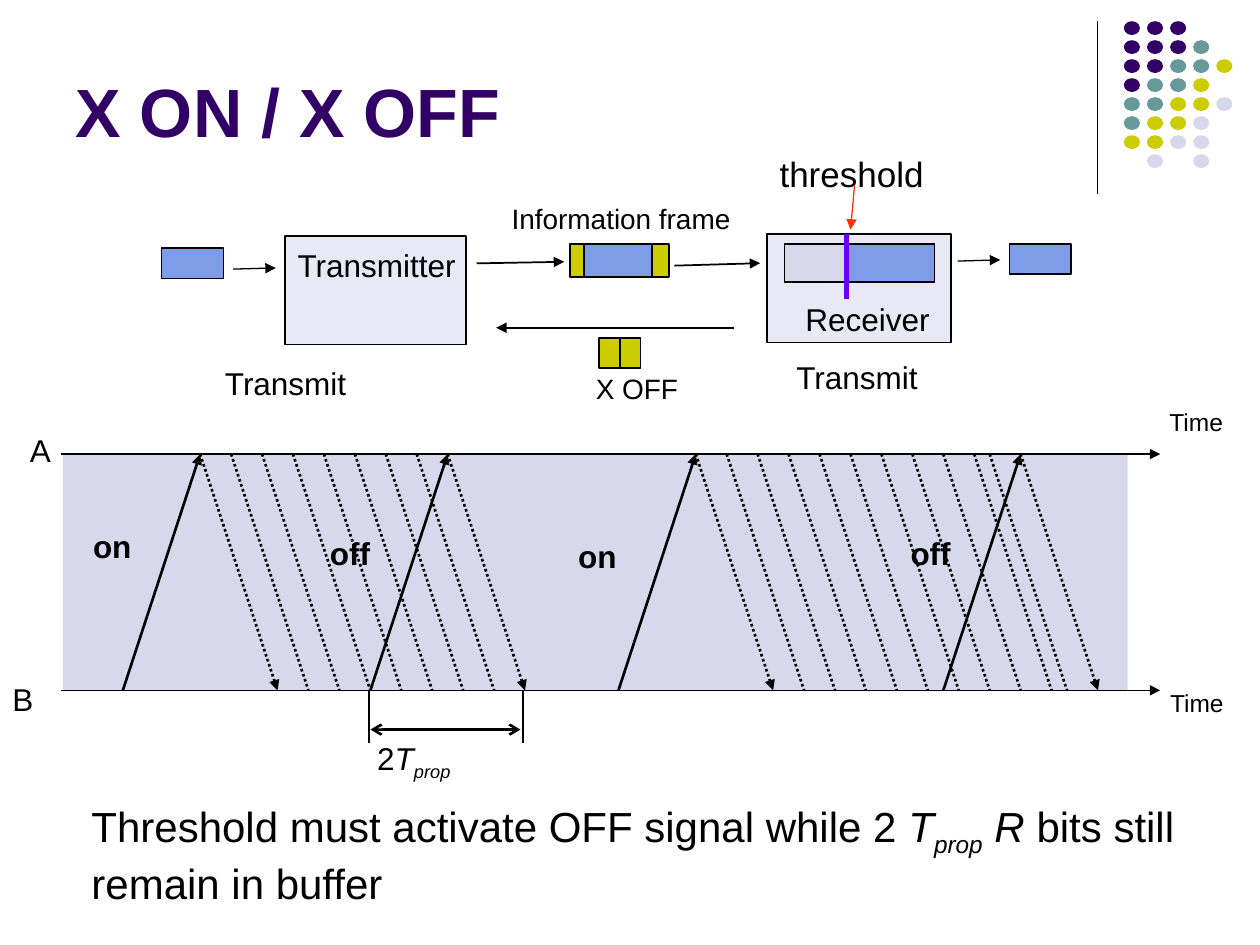
from dataclasses import dataclass

from lxml.etree import SubElement
from pptx import Presentation
from pptx.dml.color import RGBColor
from pptx.enum.dml import MSO_LINE
from pptx.enum.shapes import MSO_CONNECTOR, MSO_SHAPE
from pptx.enum.text import MSO_ANCHOR, MSO_AUTO_SIZE, PP_ALIGN
from pptx.oxml.ns import qn
from pptx.util import Pt


@dataclass(frozen=True)
class Theme:
    font: str = "Arial"
    black: str = "000000"
    purple: str = "330066"
    teal: str = "669999"
    olive: str = "CCCC00"
    lavender: str = "D8D8EC"
    station: str = "E9E9F5"
    data: str = "7E9CE8"
    alert: str = "FF3300"
    threshold: str = "6600FF"
    title_size: float = 39
    statement_size: float = 24
    callout_size: float = 20
    label_size: float = 18
    frame_size: float = 16
    axis_size: float = 14


THEME = Theme()
A_LINE, B_LINE = 259.5, 394.5
PROPAGATION = 44.2
FRAME_STEP = 17.68
DOT_ROWS = ("PPP", "PPPT", "PPTTO", "PTTO", "TTOOL", "TOOL", "OOLL", " L L")


def color(value):
    return RGBColor.from_string(value)


def format_run(run, size, bold=False, italic=False, rgb=THEME.black):
    run.font.name = THEME.font
    run.font.size = Pt(size)
    run.font.bold = bold
    run.font.italic = italic
    run.font.color.rgb = color(rgb)


def add_box(slide, left, top, width, height, fill, line_width=None, kind=MSO_SHAPE.RECTANGLE):
    shape = slide.shapes.add_shape(kind, Pt(left), Pt(top), Pt(width), Pt(height))
    shape.shadow.inherit = False
    shape.fill.solid()
    shape.fill.fore_color.rgb = color(fill)
    if line_width:
        shape.line.color.rgb = color(THEME.black)
        shape.line.width = Pt(line_width)
    else:
        shape.line.fill.background()


def add_line(slide, start, end, width=1, rgb=THEME.black, head=None, tail=None, dotted=False):
    connector = slide.shapes.add_connector(
        MSO_CONNECTOR.STRAIGHT, Pt(start[0]), Pt(start[1]), Pt(end[0]), Pt(end[1]))
    connector.line.color.rgb = color(rgb)
    connector.line.width = Pt(width)
    if dotted:
        connector.line.dash_style = MSO_LINE.ROUND_DOT
    properties = connector._element.spPr
    outline = properties.find(qn("a:ln"))
    for tag, arrow in (("a:headEnd", head), ("a:tailEnd", tail)):
        if arrow:
            SubElement(outline, qn(tag), type=arrow)
    SubElement(properties, qn("a:effectLst"))


def add_text_box(slide, left, top, width, height):
    text_frame = slide.shapes.add_textbox(Pt(left), Pt(top), Pt(width), Pt(height)).text_frame
    text_frame.word_wrap = True
    text_frame.auto_size = MSO_AUTO_SIZE.NONE
    return text_frame


def add_label(slide, text, left, top, width, size=THEME.label_size, bold=False, centered=False):
    text_frame = add_text_box(slide, left, top, width, size * 1.2 + 7.2)
    text_frame.text = text
    paragraph = text_frame.paragraphs[0]
    paragraph.alignment = PP_ALIGN.CENTER if centered else PP_ALIGN.LEFT
    format_run(paragraph.runs[0], size, bold)


def add_formula(text_frame, parts, size):
    paragraph = text_frame.paragraphs[0]
    for text, style in parts:
        run = paragraph.add_run()
        run.text = text
        format_run(run, size, italic=style != "plain")
        if style == "subscript":
            run._r.get_or_add_rPr().set("baseline", "-25000")


def add_title(slide, text):
    title = slide.shapes.title
    title.left, title.top, title.width, title.height = Pt(36), Pt(9.4), Pt(594), Pt(80.6)
    text_frame = title.text_frame
    text_frame.text = text
    text_frame.auto_size = MSO_AUTO_SIZE.NONE
    text_frame.vertical_anchor = MSO_ANCHOR.BOTTOM
    text_frame.paragraphs[0].alignment = PP_ALIGN.LEFT
    format_run(text_frame.paragraphs[0].runs[0], THEME.title_size, bold=True, rgb=THEME.purple)


def add_dot_ornament(slide):
    fills = {"P": THEME.purple, "T": THEME.teal, "O": THEME.olive, "L": THEME.lavender}
    add_line(slide, (627.1, 12.2), (627.1, 110.9), 0.75)
    for row, letters in enumerate(DOT_ROWS):
        for column, letter in enumerate(letters):
            if letter in fills:
                add_box(slide, 642.2 + column * 13.2, 12.1 + row * 10.86, 9.2, 7.9,
                        fills[letter], kind=MSO_SHAPE.OVAL)


def add_burst(slide, start, steps):
    for step in steps:
        left = start + step * FRAME_STEP
        edge = step in (steps[0], steps[-1])
        add_line(slide, (left, A_LINE), (left + PROPAGATION, B_LINE), 1.5,
                 tail="triangle" if edge else None, dotted=True)
        if edge:
            add_line(slide, (left - PROPAGATION, B_LINE), (left, A_LINE), 1.5, tail="triangle")


def add_timeline(slide):
    add_box(slide, 36, A_LINE, 608.4, B_LINE - A_LINE, THEME.lavender)
    for level in (A_LINE, B_LINE):
        add_line(slide, (34.8, level), (663, level), tail="triangle")
    add_burst(slide, 114.4, [*range(9)])
    add_burst(slide, 397.6, [*range(10), 9.5, 10.5])
    for text, left, top in (("on", 46.1, 297.4), ("off", 181.4, 301.7),
                            ("on", 323.3, 303.4), ("off", 513.2, 301.7)):
        add_label(slide, text, left, top, 46, bold=True)
    add_label(slide, "A", 10, 242.6, 32)
    add_label(slide, "B", 0, 385.2, 32)
    for left, top in ((661.1, 229), (661.5, 389.5)):
        add_label(slide, "Time", left, top, 54, THEME.axis_size)
    for left in (211, 299):
        add_line(slide, (left, B_LINE), (left, 424.8))
    add_line(slide, (211.7, 416.9), (297.4, 416.9), 1.5, head="arrow", tail="arrow")
    add_formula(add_text_box(slide, 208.5, 419, 92, 31.7),
                (("2", "plain"), ("T", "italic"), ("prop", "subscript")), THEME.label_size)


def add_flow_diagram(slide):
    add_box(slide, 162.7, 134.9, 103.7, 62, THEME.station, 1)
    add_box(slide, 438.3, 133.8, 105.1, 62, THEME.station, 1)
    add_box(slide, 325.6, 139.4, 56.7, 18.9, THEME.olive, 1)
    add_box(slide, 333.8, 139.4, 38.7, 18.9, THEME.data, 1)
    for left in (342.5, 354.2):
        add_box(slide, left, 193.2, 11.9, 17.2, THEME.olive, 1)
    add_box(slide, 448.3, 139.5, 85.7, 21.7, THEME.lavender, 0.75)
    add_box(slide, 484.3, 139.5, 49.7, 21.7, THEME.data, 0.75)
    for left, top in ((92.3, 141.8), (576.7, 139.4)):
        add_box(slide, left, top, 35.3, 17.2, THEME.data, 0.75)
    for start, end, width in (((272.4, 150.5), (322.4, 149.6), 1),
                              ((385.4, 151.8), (434.4, 150.4), 1),
                              ((419.6, 187.3), (283.5, 187.3), 1),
                              ((133.3, 153.8), (157.6, 153.1), 0.75),
                              ((547.3, 149.2), (571.6, 148.5), 0.75)):
        add_line(slide, start, end, width, tail="triangle")
    for text, left, top, width, size in (
            ("Transmit", 115.2, 204.4, 96, THEME.label_size),
            ("Transmit", 441.7, 201, 96, THEME.label_size),
            ("Transmitter", 155.2, 137.2, 120, THEME.label_size),
            ("Receiver", 445.8, 168, 100, THEME.label_size),
            ("Information frame", 270.7, 111.8, 168.5, THEME.frame_size),
            ("X OFF", 288, 208.5, 151.9, THEME.frame_size),
            ("threshold", 429.7, 83.7, 114, THEME.callout_size)):
        add_label(slide, text, left, top, width, size, centered=True)
    add_line(slide, (488.3, 106.3), (486, 131.2), 0.75, THEME.alert, tail="triangle")
    add_line(slide, (483.7, 133.8), (483.7, 171), 3, THEME.threshold)


def add_statement(slide):
    add_formula(add_text_box(slide, 45.2, 453.9, 637.9, 69.1),
                (("Threshold must activate OFF signal while 2 ", "plain"), ("T", "italic"),
                 ("prop", "subscript"), (" R", "italic"),
                 (" bits still remain in buffer", "plain")), THEME.statement_size)


def main():
    presentation = Presentation()
    presentation.slide_width, presentation.slide_height = Pt(720), Pt(540)
    slide = presentation.slides.add_slide(presentation.slide_layouts[5])
    add_dot_ornament(slide)
    add_timeline(slide)
    add_title(slide, "X ON / X OFF")
    add_flow_diagram(slide)
    add_statement(slide)
    presentation.save("out.pptx")


if __name__ == "__main__":
    main()
